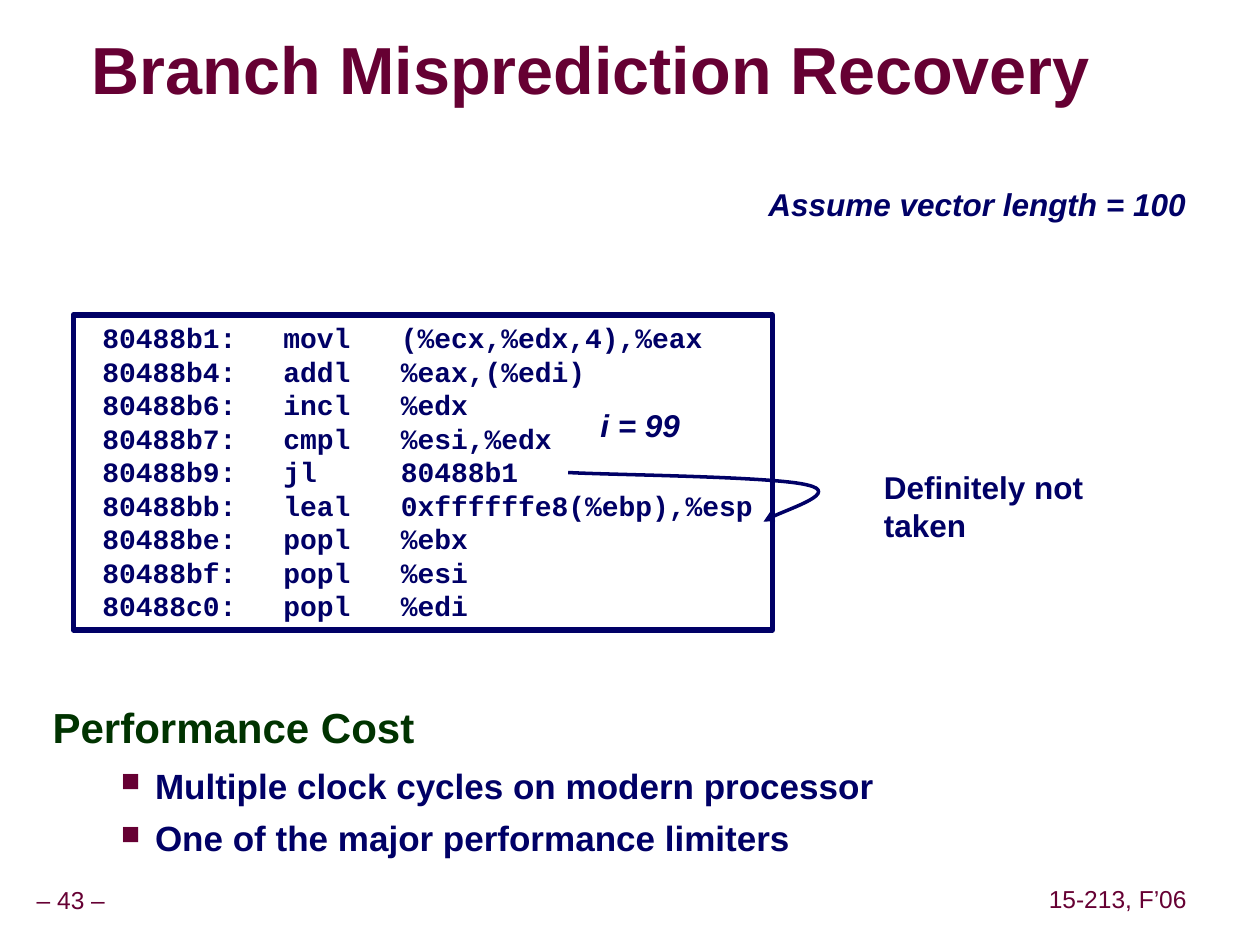
"""Build the branch misprediction recovery slide."""
from lxml import etree
from pptx import Presentation
from pptx.dml.color import RGBColor
from pptx.enum import shapes, text
from pptx.oxml import ns
from pptx.util import Pt

NAVY, MAROON, GREEN = "000066", "660033", "003300"
TITLE = "Branch Misprediction Recovery"
CODE = [
    ("80488b1:", "movl", "(%ecx,%edx,4),%eax"),
    ("80488b4:", "addl", "%eax,(%edi)"),
    ("80488b6:", "incl", "%edx"),
    ("80488b7:", "cmpl", "%esi,%edx"),
    ("80488b9:", "jl", "80488b1"),
    ("80488bb:", "leal", "0xffffffe8(%ebp),%esp"),
    ("80488be:", "popl", "%ebx"),
    ("80488bf:", "popl", "%esi"),
    ("80488c0:", "popl", "%edi"),
]
CODE_TABS = (113, 180.2)
HEADING = "Performance Cost"
BULLETS = ["Multiple clock cycles on modern processor", "One of the major performance limiters"]
LABELS = [
    ("i = 99", (336, 228.5, 60, 29), True),
    ("Definitely not taken", (498, 264, 180, 29), False),
    ("Assume vector length = 100", (432, 102, 253, 29), True),
]
FOOTERS = [("– 43 –", (-6.5, 504, 94, 22.5)), ("15-213, F’06", (595.5, 503.5, 86.5, 22.5))]
BRANCH_START = (324.7, 270)
BRANCH_CURVES = [
    [(347.8, 271.4), (442.8, 272.2), (461.5, 277.2)],
    [(480.2, 281.5), (441.4, 293.8), (436.3, 298.1)],
]


def rgb(value):
    return RGBColor.from_string(value)


def add(parent, tag, **attrs):
    return etree.SubElement(parent, ns.qn(tag), attrs)


def style(p, size, color, bold=True, italic=False, font="Arial"):
    p.font.name, p.font.size = font, Pt(size)
    p.font.bold, p.font.italic = bold, italic
    p.font.color.rgb = rgb(color)


def set_frame(tf, wrap=False, margins=(7.2, 3.6), anchor=text.MSO_ANCHOR.TOP):
    tf.word_wrap, tf.vertical_anchor = wrap, anchor
    tf.margin_left = tf.margin_right = Pt(margins[0])
    tf.margin_top = tf.margin_bottom = Pt(margins[1])
    return tf


def add_text(s, box, **frame):
    return set_frame(s.shapes.add_textbox(*map(Pt, box)).text_frame, **frame)


def add_title(s):
    tf = add_text(s, (52.5, 19.5, 595, 45), wrap=True, margins=(0, 0), anchor=text.MSO_ANCHOR.MIDDLE)
    p = tf.paragraphs[0]
    r = p.add_run()
    r.text, p.line_spacing = TITLE, 0.87
    style(p, 38, MAROON)
    effects = add(r.font._element, "a:effectLst")
    shadow = add(effects, "a:outerShdw", dist="38100", dir="2700000", algn="tl")
    add(shadow, "a:srgbClr", val="969696")


def add_body(s):
    tf = add_text(s, (23, 399.5, 654.5, 108), wrap=True)
    p = tf.paragraphs[0]
    p.text, p.line_spacing, p.space_before = HEADING, 0.95, Pt(15)
    style(p, 24, GREEN)
    for item in BULLETS:
        p = tf.add_paragraph()
        p.text, p.level = item, 1
        p.space_before, p.line_spacing = Pt(6.2), Pt(24)
        style(p, 20, NAVY)
        pPr = p._p.get_or_add_pPr()
        pPr.set("marL", str(Pt(58.5)))
        pPr.set("indent", str(Pt(-19.5)))
        bullet = [etree.Element(ns.qn(tag)) for tag in ("a:buClr", "a:buSzPct", "a:buChar")]
        add(bullet[0], "a:srgbClr", val=MAROON)
        bullet[1].set("val", "75000")
        bullet[2].set("char", "■")
        for offset, element in enumerate(bullet):
            pPr.insert(len(pPr) - 1, element)


def add_code(s):
    sp = s.shapes.add_shape(shapes.MSO_SHAPE.RECTANGLE, *map(Pt, (41.8, 180, 399.6, 180)))
    sp.shadow.inherit = False
    sp.fill.background()
    sp.line.color.rgb, sp.line.width = rgb(NAVY), Pt(3)
    tf = set_frame(sp.text_frame, wrap=True)
    for i, parts in enumerate(CODE):
        p = tf.add_paragraph() if i else tf.paragraphs[0]
        p.text = " " + "\t".join(parts)
        p.alignment, p.line_spacing = text.PP_ALIGN.LEFT, Pt(19.1)
        style(p, 16, NAVY, font="Courier New")
        pPr = p._p.get_or_add_pPr()
        tabs = etree.Element(ns.qn("a:tabLst"))
        for stop in CODE_TABS:
            add(tabs, "a:tab", pos=str(Pt(stop)), algn="l")
        pPr.insert(len(pPr) - 1, tabs)


def add_branch(s):
    builder = s.shapes.build_freeform(*map(Pt, BRANCH_START))
    points = [tuple(map(Pt, point)) for curve in BRANCH_CURVES for point in curve]
    builder.add_line_segments(points, close=False)
    sp = builder.convert_to_shape()
    sp.shadow.inherit = False
    sp.fill.background()
    sp.line.color.rgb, sp.line.width = rgb(NAVY), Pt(2)
    add(sp.line._get_or_add_ln(), "a:tailEnd", type="triangle")
    lines = list(sp._element.iter(ns.qn("a:lnTo")))
    outline = lines[0].getparent()
    for i in range(0, len(lines), 3):
        curve = add(outline, "a:cubicBezTo")
        for line in lines[i:i + 3]:
            curve.append(line[0])
            outline.remove(line)


def main():
    prs = Presentation()
    prs.slide_width, prs.slide_height = Pt(720), Pt(540)
    s = prs.slides.add_slide(prs.slide_layouts[6])
    for words, box in FOOTERS:
        p = add_text(s, box, margins=(3.6, 3.6), anchor=text.MSO_ANCHOR.MIDDLE).paragraphs[0]
        p.text, p.alignment, p.line_spacing = words, text.PP_ALIGN.CENTER, 0.9
        style(p, 14, MAROON, bold=False)
    add_title(s)
    add_body(s)
    add_code(s)
    add_branch(s)
    for words, box, italic in LABELS:
        p = add_text(s, box).paragraphs[0]
        p.text = words
        style(p, 18, NAVY, italic=italic)
    prs.save("out.pptx")


if __name__ == "__main__":
    main()
